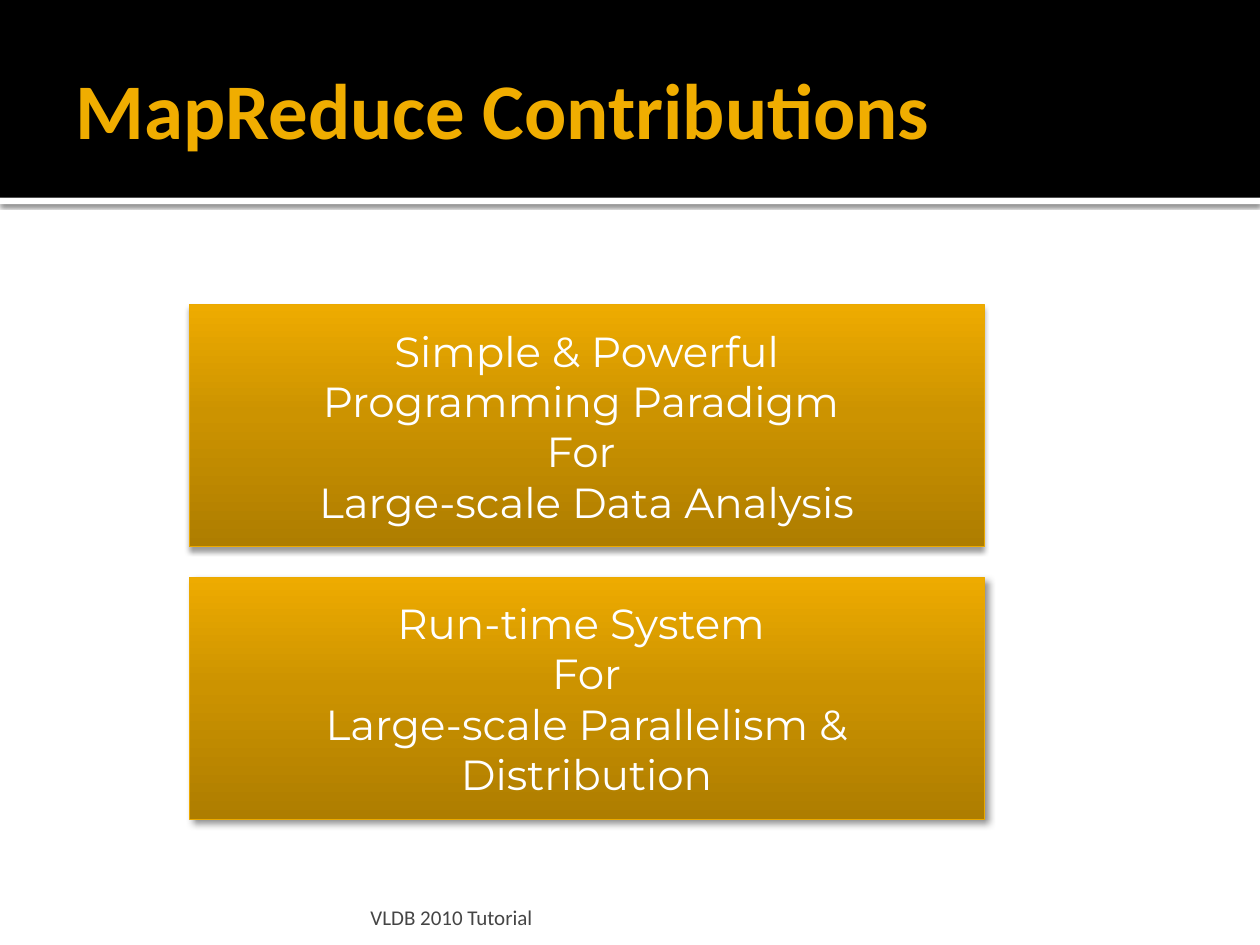
from lxml.etree import SubElement
from pptx import Presentation
from pptx.dml.color import RGBColor
from pptx.enum.shapes import MSO_SHAPE
from pptx.enum.text import MSO_ANCHOR, PP_ALIGN
from pptx.oxml.ns import qn
from pptx.util import Inches, Pt

TITLE = "MapReduce Contributions"
FOOTER = "VLDB 2010 Tutorial"
# Lines of each box, then its shadow: opacity %, blur pt, distance pt, angle
BOXES = [
    (["Simple & Powerful", "Programming Paradigm ", "For ",
      "Large-scale Data Analysis"], (38, 3.1, 2, 90)),
    (["Run-time System ", "For",
      "Large-scale Parallelism & Distribution"], (43, 4, 3, 45)),
]
RULE_SHADOW = (60, 2.5, 0.8, 90)

THEME = {
    "band": "000000", "rule": "FFFFFF", "shadow": "000000",
    "gradient": [(0, "AE7D00"), (55, "CC9300"), (100, "EEAB00")],
    "border": "EBA900",
    "title": ("Calibri", 45, "F0AD00", True),
    "box": ("Montserrat", 24, "FFFFFF", False),
    "footer": ("Calibri", 12, "454545", False),
}

BAND_H, RULE_H = 1.57, 0.05
BOX_X, BOX_Y, BOX_W, BOX_H, BOX_GAP = 1.5, 2.42, 6.31, 1.92, 0.24


def add_rect(s, x, y, w, h, color=None):
    sp = s.shapes.add_shape(MSO_SHAPE.RECTANGLE, Inches(x), Inches(y),
                            Inches(w), Inches(h))
    sp.shadow.inherit = False
    sp.line.fill.background()
    if color:
        sp.fill.solid()
        sp.fill.fore_color.rgb = RGBColor.from_string(color)
    return sp


def add_shadow(sp, opacity, blur, dist, angle):
    effects = sp._element.spPr.find(qn("a:effectLst"))
    shadow = SubElement(effects, qn("a:outerShdw"), blurRad=str(Pt(blur)),
                        dist=str(Pt(dist)), dir=str(angle * 60000),
                        algn="ctr", rotWithShape="0")
    color = SubElement(shadow, qn("a:srgbClr"), val=THEME["shadow"])
    SubElement(color, qn("a:alpha"), val=str(opacity * 1000))


def fill_gradient(sp, stops):
    """Fill from bottom to top with any number of (percent, colour) stops."""
    sp.fill.gradient()
    sp.fill.gradient_angle = 90
    stop_list = sp._element.spPr.find(".//" + qn("a:gsLst"))
    for old in list(stop_list):
        stop_list.remove(old)
    for pos, color in stops:
        stop = SubElement(stop_list, qn("a:gs"), pos=str(pos * 1000))
        SubElement(stop, qn("a:srgbClr"), val=color)


def set_text(sp, lines, style, anchor, align, insets=(0.1, 0.05, 0.1, 0.05)):
    """Write one paragraph per line; insets are left, top, right, bottom."""
    font, size, color, bold = THEME[style]
    tf = sp.text_frame
    tf.word_wrap = True
    tf.vertical_anchor = anchor
    (tf.margin_left, tf.margin_top,
     tf.margin_right, tf.margin_bottom) = map(Inches, insets)
    tf.text = "\n".join(lines)
    for p in tf.paragraphs:
        p.alignment = align
        for r in p.runs:
            r.font.name = font
            r.font.size = Pt(size)
            r.font.bold = bold
            r.font.color.rgb = RGBColor.from_string(color)


def main():
    prs = Presentation()
    prs.slide_width, prs.slide_height = Inches(10), Inches(7.5)
    s = prs.slides.add_slide(prs.slide_layouts[6])

    rule = add_rect(s, 0, BAND_H, 10, RULE_H, THEME["rule"])
    add_shadow(rule, *RULE_SHADOW)
    add_rect(s, 0, 0, 10, BAND_H, THEME["band"])

    title = s.shapes.add_textbox(Inches(0.5), Inches(0.17), Inches(9), Inches(1.37))
    set_text(title, [TITLE], "title", MSO_ANCHOR.MIDDLE, PP_ALIGN.LEFT,
             (0.1, 0.05, 0.05, 0.05))

    for i, (lines, shadow) in enumerate(BOXES):
        box = add_rect(s, BOX_X, BOX_Y + i * (BOX_H + BOX_GAP), BOX_W, BOX_H)
        fill_gradient(box, THEME["gradient"])
        box.line.color.rgb = RGBColor.from_string(THEME["border"])
        box.line.width = Pt(0.5)
        add_shadow(box, *shadow)
        set_text(box, lines, "box", MSO_ANCHOR.MIDDLE, PP_ALIGN.CENTER)

    footer = s.shapes.add_textbox(Inches(2.89), Inches(7.08), Inches(6.02), Inches(0.3))
    set_text(footer, [FOOTER], "footer", MSO_ANCHOR.BOTTOM, PP_ALIGN.LEFT,
             (0.05, 0.05, 0.05, 0))

    prs.save("out.pptx")


if __name__ == "__main__":
    main()
